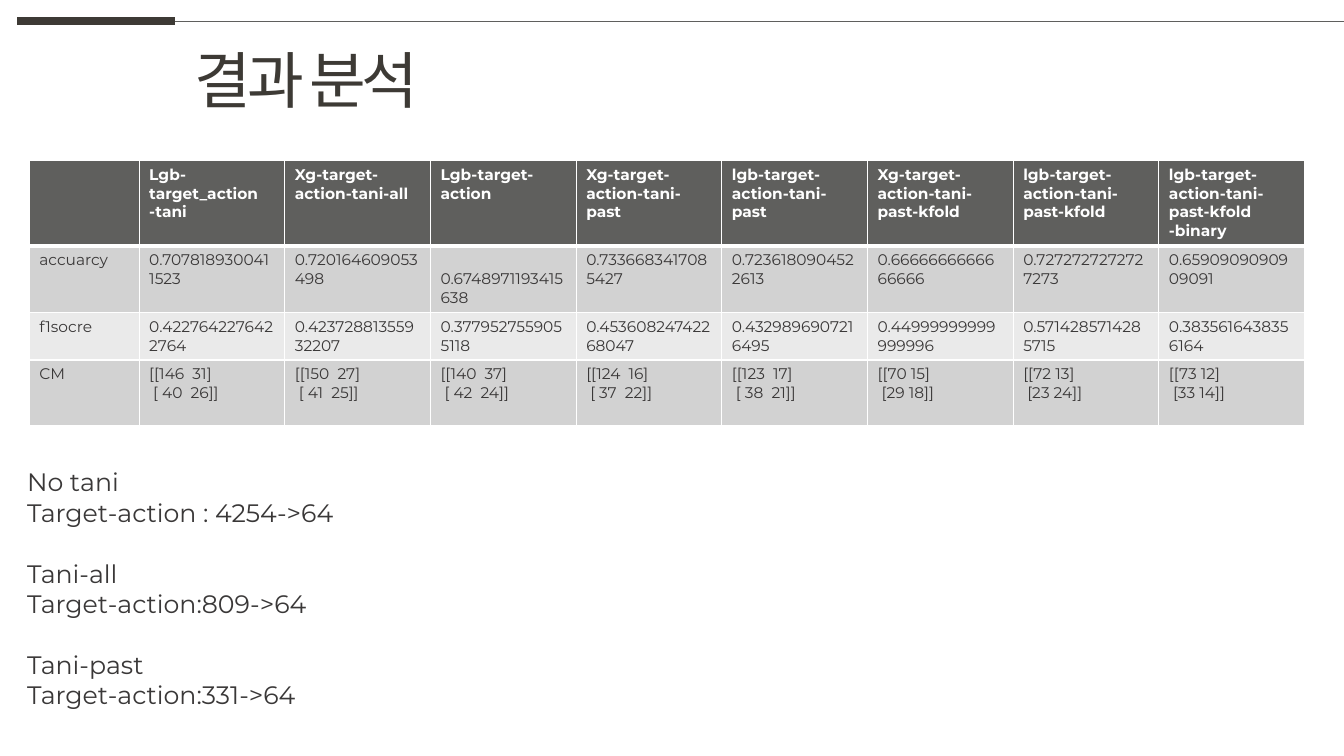
from lxml import etree
from pptx import Presentation
from pptx.dml.color import RGBColor
from pptx.enum.shapes import MSO_CONNECTOR
from pptx.enum.text import MSO_ANCHOR, PP_ALIGN
from pptx.oxml.ns import qn
from pptx.util import Inches, Pt

STRAIGHT = MSO_CONNECTOR.STRAIGHT
LEFT = PP_ALIGN.LEFT
TOP, MIDDLE = MSO_ANCHOR.TOP, MSO_ANCHOR.MIDDLE
TITLE_ONLY = 5

FONT = "Montserrat"
DARK, GRAY, INK, WHITE = "3D3A35", "5F5F5D", "3A3838", "FFFFFF"
ROW_FILLS = [GRAY, "D2D2D2", "EAEAEA", "D2D2D2"]
ROW_HEIGHTS = [0.81, 0.47, 0.47, 0.65]
FIRST_COLUMN, MODEL_COLUMN = 1.09, 1.445

RESULTS = [
    ["", "Lgb-target_action\n-tani", "Xg-target-action-tani-all",
     "Lgb-target-action", "Xg-target-action-tani-past",
     "lgb-target-action-tani-past", "Xg-target-action-tani-past-kfold",
     "lgb-target-action-tani-past-kfold",
     "lgb-target-action-tani-past-kfold\n-binary"],
    ["accuarcy", "0.7078189300411523", "0.720164609053498",
     " 0.6748971193415638", "0.7336683417085427", "0.7236180904522613",
     "0.6666666666666666", "0.7272727272727273", "0.6590909090909091"],
    ["f1socre", "0.4227642276422764", "0.42372881355932207",
     "0.3779527559055118", "0.45360824742268047", "0.4329896907216495",
     "0.44999999999999996", "0.5714285714285715", "0.3835616438356164"],
    ["CM", "[[146  31]\n [ 40  26]]", "[[150  27]\n [ 41  25]]",
     "[[140  37]\n [ 42  24]]", "[[124  16]\n [ 37  22]]",
     "[[123  17]\n [ 38  21]]", "[[70 15]\n [29 18]]",
     "[[72 13]\n [23 24]]", "[[73 12]\n [33 14]]"],
]

NOTES = [
    ("No tani", "Target-action : 4254->64"),
    ("Tani-all", "Target-action:809->64"),
    ("Tani-past", "Target-action:331->64"),
]


def color(value):
    return RGBColor.from_string(value)


def format_text(frame, size, hex_color, bold=False):
    for para in frame.paragraphs:
        para.alignment = LEFT
        for span in para.runs:
            span.font.name = FONT
            span.font.size = Pt(size)
            span.font.bold = bold
            span.font.color.rgb = color(hex_color)


def add_rule(page, start, end, y, hex_color, width):
    rule = page.shapes.add_connector(
        STRAIGHT, Inches(start), Inches(y), Inches(end), Inches(y))
    rule.line.color.rgb = color(hex_color)
    rule.line.width = Pt(width)
    etree.SubElement(rule._element.spPr, qn("a:effectLst"))


def set_title(page, text):
    title = page.shapes.title
    title.left, title.top = Inches(1.83), Inches(0.36)
    title.width, title.height = Inches(2.63), Inches(0.84)
    frame = title.text_frame
    frame.text = text
    frame.word_wrap = False
    frame.vertical_anchor = MIDDLE
    format_text(frame, 44, DARK)
    # Tighter letter spacing, in hundredths of a point
    frame.paragraphs[0].runs[0].font._element.set("spc", "-300")


def set_border(cell, side, width):
    line = etree.SubElement(
        cell._tc.get_or_add_tcPr(), qn(f"a:ln{side}"), w=str(Pt(width)))
    fill = etree.SubElement(line, qn("a:solidFill"))
    etree.SubElement(fill, qn("a:srgbClr"), val=WHITE)


def add_results_table(page):
    row_count, column_count = len(RESULTS), len(RESULTS[0])
    total_width = FIRST_COLUMN + MODEL_COLUMN * (column_count - 1)
    table = page.shapes.add_table(
        row_count, column_count, Inches(0.29), Inches(1.59),
        Inches(total_width), Inches(sum(ROW_HEIGHTS))).table
    for index, column in enumerate(table.columns):
        column.width = Inches(MODEL_COLUMN if index else FIRST_COLUMN)

    for row_index, values in enumerate(RESULTS):
        table.rows[row_index].height = Inches(ROW_HEIGHTS[row_index])
        is_header = row_index == 0
        for column_index, value in enumerate(values):
            cell = table.cell(row_index, column_index)
            cell.text_frame.text = value
            cell.vertical_anchor = TOP
            format_text(cell.text_frame, 11,
                        WHITE if is_header else INK, is_header)
            # Heavy border between the header and the first result row
            widths = {"L": 1, "R": 1, "T": 3 if row_index == 1 else 1,
                      "B": 3 if is_header else 1}
            for side, width in widths.items():
                set_border(cell, side, width)
            cell.fill.solid()
            cell.fill.fore_color.rgb = color(ROW_FILLS[row_index])
            if not value:
                cell.text_frame.paragraphs[0].font.size = Pt(11)


def add_notes_box(page):
    box = page.shapes.add_textbox(
        Inches(0.17), Inches(4.58), Inches(8.4), Inches(2.52))
    frame = box.text_frame
    frame.word_wrap = True
    frame.text = "\n".join(line for group in NOTES for line in group)
    format_text(frame, 18, INK)
    # One line of space ahead of each later group
    for para in frame.paragraphs[2::2]:
        para.space_before = Pt(22)


def main():
    deck = Presentation()
    deck.slide_width, deck.slide_height = Inches(13.33), Inches(7.5)
    page = deck.slides.add_slide(deck.slide_layouts[TITLE_ONLY])

    # Header rules and title
    add_rule(page, 0.17, 1.74, 0.21, DARK, 6)
    set_title(page, "결과 분석")
    add_rule(page, 1.74, 13.33, 0.21, GRAY, 0.5)

    # Model results and sample counts
    add_results_table(page)
    add_notes_box(page)
    deck.save("out.pptx")


if __name__ == "__main__":
    main()
